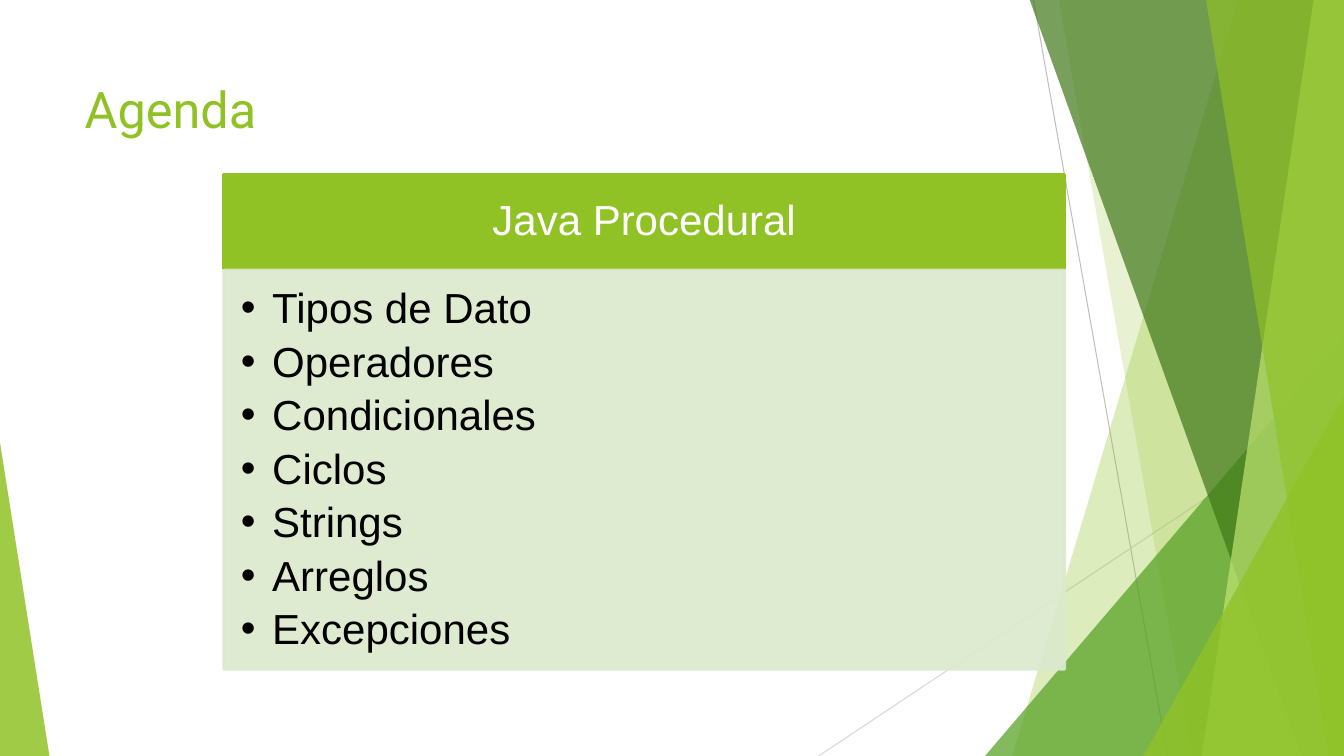
"""Build the agenda slide with its green angular backdrop."""
from lxml.etree import SubElement
from pptx import Presentation
from pptx.dml.color import RGBColor
from pptx.enum.shapes import MSO_CONNECTOR as Link, MSO_SHAPE as Kind
from pptx.enum.text import MSO_ANCHOR as Anchor, MSO_AUTO_SIZE as Fit, PP_ALIGN as Align
from pptx.oxml.ns import qn
from pptx.util import Inches, Pt

GREEN = RGBColor(0x90, 0xC2, 0x26)
LEAF = RGBColor(0x54, 0xA0, 0x21)
DARK = RGBColor(0x3F, 0x78, 0x18)
LIME = RGBColor(0xBF, 0xE4, 0x71)
PALE = RGBColor(0xDB, 0xE9, 0xCD)
GRAY = RGBColor(0xBF, 0xBF, 0xBF)
SILVER = RGBColor(0xD8, 0xD8, 0xD8)
WHITE = RGBColor(0xFF, 0xFF, 0xFF)
BLACK = RGBColor(0, 0, 0)
WIDE, HIGH = 13.33, 7.5


def paint(shape, color, alpha=100, edge=0):
    shape.fill.solid()
    shape.fill.fore_color.rgb = color
    if edge:
        shape.line.color.rgb = color
        shape.line.width = Pt(edge)
    else:
        shape.line.fill.background()
    if alpha < 100:
        for node in shape.element.spPr.iter(qn("a:srgbClr")):
            SubElement(node, qn("a:alpha"), val=str(alpha * 1000))


def write(shape, box, pads, anchor, align, font, size, color):
    shape.left, shape.top, shape.width, shape.height = map(Inches, box)
    frame = shape.text_frame
    frame.word_wrap = True
    frame.auto_size = Fit.NONE
    frame.vertical_anchor = anchor
    (frame.margin_left, frame.margin_top,
     frame.margin_right, frame.margin_bottom) = map(Inches, pads)
    for para in frame.paragraphs:
        para.alignment = align
        for run in para.runs:
            run.font.name = font
            run.font.size = Pt(size)
            run.font.color.rgb = color


deck = Presentation()
deck.slide_width, deck.slide_height = Inches(WIDE), Inches(HIGH)
slide = deck.slides.add_slide(deck.slide_layouts[1])
shapes = slide.shapes
title, body = shapes.title, slide.placeholders[1]

for x1, y1, x2, y2, color in [
    (10.25, 0, 11.58, HIGH, GRAY),
    (WIDE, 4.03, 8.12, HIGH, SILVER),
]:
    ray = shapes.add_connector(Link.STRAIGHT, *map(Inches, (x1, y1, x2, y2)))
    ray.line.color.rgb = color
    ray.line.width = Pt(0.75)
    SubElement(ray.element.spPr, qn("a:effectLst"))

facets = [
    ((12.28, 10.04), GREEN, 30),
    ((10.5, 11.82), GREEN, 20),
    ((9.77, 3.33, 3.56, 1), LEAF, 72),
    ((10.21, 12.91), DARK, 70),
    ((13.03, 11.92), LIME, 70),
    ((11.96, 13.18), GREEN, 65),
    ((11.34, 3.93, 1.99, 1), GREEN, 80),
    ((0, 4.39, 0.49, 0), GREEN, 85),
]
for spot, color, alpha in facets:
    if len(spot) == 2:
        head, foot = spot
        pen = shapes.build_freeform(Inches(head), Inches(-0.01))
        corners = [(WIDE, -0.01), (WIDE, HIGH), (foot, HIGH)]
        pen.add_line_segments([(Inches(x), Inches(y)) for x, y in corners])
        facet = pen.convert_to_shape()
    else:
        left, top, width, peak = spot
        facet = shapes.add_shape(
            Kind.ISOSCELES_TRIANGLE, *map(Inches, (left, top, width, HIGH - top)))
        facet.adjustments[0] = peak
    facet.shadow.inherit = False
    paint(facet, color, alpha)

tree = title.element.getparent()
tree.append(title.element)
title.text_frame.text = "Agenda"
write(title, (0.74, 0.67, 9.4, 1.44), [0.1] * 4,
      Anchor.TOP, Align.LEFT, "Roboto", 36, GREEN)

band = shapes.add_shape(Kind.RECTANGLE, 0, 0, 0, 0)
band.shadow.inherit = False
band.text_frame.text = "Java Procedural"
paint(band, GREEN, edge=2)
write(band, (2.22, 1.73, 8.34, 0.94), (0.23, 0.13, 0.23, 0.13),
      Anchor.MIDDLE, Align.CENTER, "Arial", 30, WHITE)
band.text_frame.paragraphs[0].line_spacing = 0.9

tree.append(body.element)
topics = ["Tipos de Dato", "Operadores", "Condicionales", "Ciclos",
          "Strings", "Arreglos", "Excepciones"]
body.text_frame.text = "\n".join(topics)
write(body, (2.22, 2.68, 8.34, 3.96), (0.17, 0.17, 0.23, 0.26),
      Anchor.TOP, Align.LEFT, "Arial", 30, BLACK)
paint(body, PALE, 90, 2)
for para in body.text_frame.paragraphs:
    para.line_spacing = 0.9
    para.space_before = Pt(0)
    para.space_after = Pt(5.8)
    props = para._p.get_or_add_pPr()
    props.set("marL", str(Inches(0.31)))
    props.set("indent", str(Inches(-0.31)))

deck.save("out.pptx")
